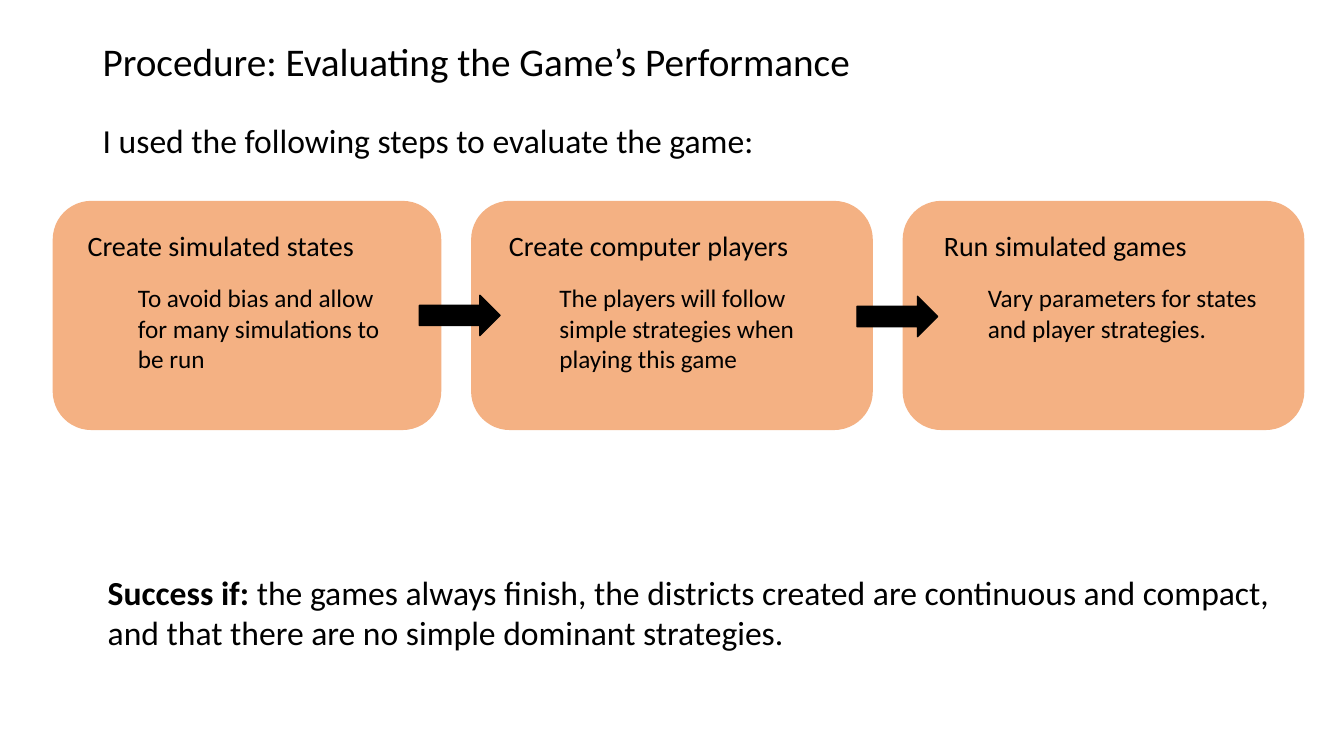
"""Build the slide on evaluating the game's performance."""
from pptx import Presentation
from pptx.dml.color import RGBColor
from pptx.enum.shapes import MSO_SHAPE as Preset
from pptx.enum.text import MSO_ANCHOR as Anchor, PP_ALIGN as Align
from pptx.util import Inches, Pt

THEME = {
    "font": "Calibri",
    "text": RGBColor(0x00, 0x00, 0x00),
    "card": RGBColor(0xF4, 0xB1, 0x83),
    "arrow": RGBColor(0x00, 0x00, 0x00),
    "title": Pt(28),
    "body": Pt(24),
    "heading": Pt(20),
    "detail": Pt(18),
}

presentation = Presentation()
presentation.slide_width = Inches(13.33)
presentation.slide_height = Inches(7.5)
slide = presentation.slides.add_slide(presentation.slide_layouts[6])


def add_text(left, top, width, height, paragraphs, anchor=Anchor.TOP):
    """Add a text box from (runs, size, paragraph format, indent) tuples."""
    frame = slide.shapes.add_textbox(
        Inches(left), Inches(top), Inches(width), Inches(height)
    ).text_frame
    frame.word_wrap = True
    frame.vertical_anchor = anchor
    for number, (runs, size, formats, indent) in enumerate(paragraphs):
        paragraph = frame.add_paragraph() if number else frame.paragraphs[0]
        for name, value in {"alignment": Align.LEFT, **formats}.items():
            setattr(paragraph, name, value)
        if indent:
            properties = paragraph._p.get_or_add_pPr()
            properties.set("marL", str(Inches(indent)))
            properties.set("indent", "0")
        for text, bold in runs:
            run = paragraph.add_run()
            run.text = text
            run.font.color.rgb = THEME["text"]
            for name, value in {"name": THEME["font"], "size": size, "bold": bold}.items():
                setattr(run.font, name, value)


def add_filled(preset, left, top, width, height, color):
    """Add a preset shape with matching fill and outline."""
    shape = slide.shapes.add_shape(
        preset, Inches(left), Inches(top), Inches(width), Inches(height)
    )
    shape.shadow.inherit = False
    shape.fill.solid()
    shape.fill.fore_color.rgb = color
    shape.line.color.rgb = color
    shape.line.width = Pt(1)


tight = {"line_spacing": 0.9}
title = "Procedure: Evaluating the Game’s Performance"
intro = "I used the following steps to evaluate the game:"
add_text(0.92, 0.37, 11.5, 0.53, [([(title, False)], THEME["title"], tight, 0)], Anchor.MIDDLE)
add_text(0.92, 1.19, 7.98, 0.69, [([(intro, False)], THEME["body"], tight, 0)])

success = [
    ("Success if: ", True),
    (
        "the games always finish, the districts created are continuous and compact, "
        "and that there are no simple dominant strategies.",
        False,
    ),
]
add_text(0.97, 5.62, 11.75, 0.91, [(success, THEME["body"], {}, 0)])

steps = [
    (0.53, 3.84, 0.77, 3.22, 1.55, "Create simulated states",
     "To avoid bias and allow for many simulations to be run"),
    (4.68, 3.97, 4.95, 3.43, 1.55, "Create computer players",
     "The players will follow simple strategies when playing this game"),
    (8.96, 3.97, 9.2, 3.6, 1.25, " Run simulated games",
     "Vary parameters for states and player strategies."),
]
detail_format = {"level": 1, "space_before": Pt(14.6)}
for card_left, card_width, text_left, text_width, text_height, heading, detail in steps:
    add_filled(Preset.ROUNDED_RECTANGLE, card_left, 2, card_width, 2.26, THEME["card"])
    add_text(text_left, 2.22, text_width, text_height, [
        ([(heading, False)], THEME["heading"], {}, 0),
        ([(detail, False)], THEME["detail"], detail_format, 0.5),
    ])

for left, top in [(4.16, 2.93), (8.5, 2.94)]:
    add_filled(Preset.RIGHT_ARROW, left, top, 0.8, 0.4, THEME["arrow"])

presentation.save("out.pptx")
